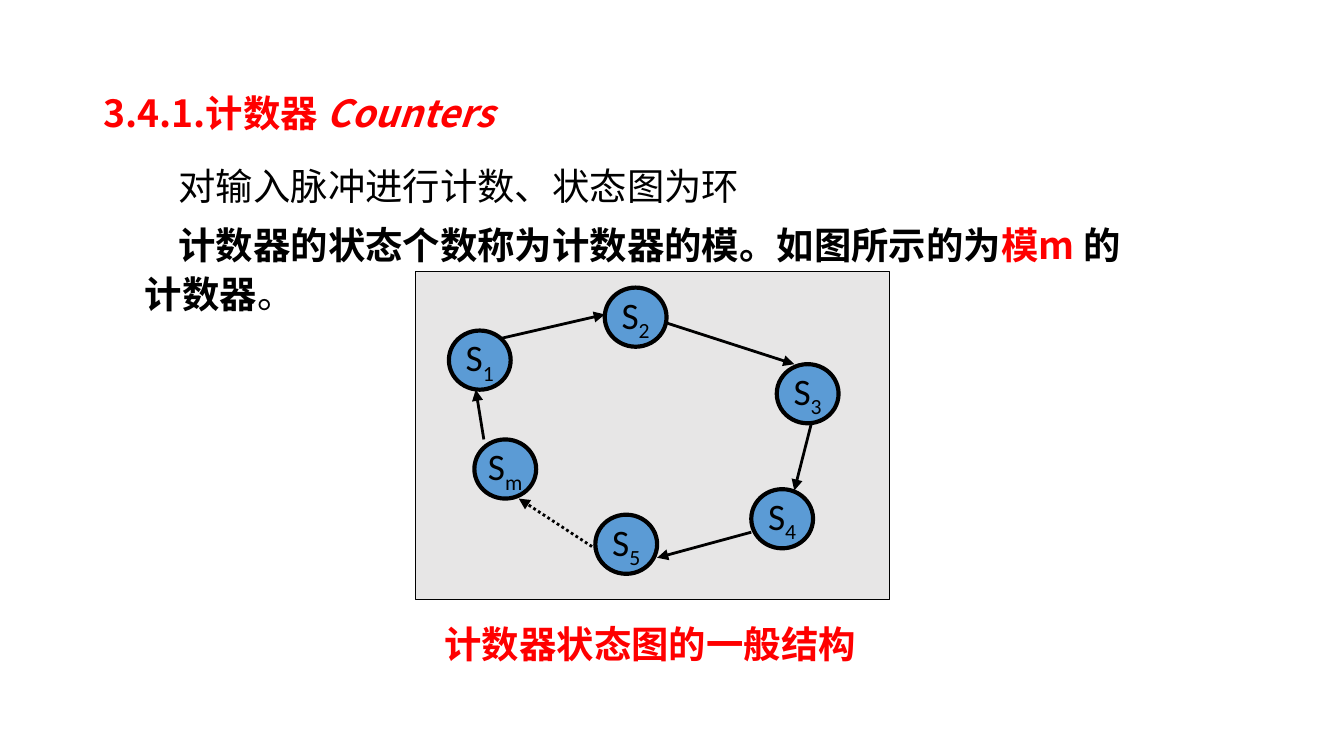
import pptx
import pptx.util
import pptx.dml.color
import pptx.enum.dml
import pptx.enum.shapes
import pptx.enum.text
import pptx.oxml.ns
from lxml import etree

Inches = pptx.util.Inches
Pt = pptx.util.Pt
RGBColor = pptx.dml.color.RGBColor
qn = pptx.oxml.ns.qn

RED = RGBColor(0xFF, 0x00, 0x00)
BLACK = RGBColor(0x00, 0x00, 0x00)
BLUE = RGBColor(0x5B, 0x9B, 0xD5)
GRAY = RGBColor(0xE7, 0xE6, 0xE6)
WHITE = RGBColor(0xFF, 0xFF, 0xFF)
CJK_FONT = "Noto Sans CJK JP"
STATE_FONT = "Calibri"
TEXT_SIZE = 20
STATE_SIZE = (0.46, 0.44)

TITLE = [("3.4.1.计数器 ", RED, True, False), ("Counters", RED, True, True)]
PURPOSE = [("对输入脉冲进行计数、状态图为环", BLACK, False, False)]
MODULUS = [
    ("计数器的状态个数称为计数器的模。如图所示的为", BLACK, True, False),
    ("模m ", RED, True, False),
    ("的计数器", BLACK, True, False),
    ("。", BLACK, False, False),
]
CAPTION = [("计数器状态图的一般结构", RED, True, False)]

PANEL = (3.09, 2.02, 3.53, 2.44)
STATES = [
    ("4", 5.59, 3.64),
    ("5", 4.43, 3.83),
    ("m", 3.53, 3.27),
    ("3", 5.78, 2.71),
    ("2", 4.5, 2.14),
    ("1", 3.34, 2.46),
]
TRANSITIONS = [
    ((3.6, 3.27), (3.54, 2.9), False),
    ((3.72, 2.52), (4.5, 2.34), False),
    ((4.95, 2.4), (5.91, 2.71), False),
    ((6.04, 3.14), (5.91, 3.65), False),
    ((5.59, 3.96), (4.89, 4.15), False),
    ((4.44, 4.09), (3.86, 3.71), True),
]


def add_text(page, place, spans, line_spacing=1.0, indent=0, wrap=True):
    box = page.shapes.add_textbox(*map(Inches, place))
    box.text_frame.word_wrap = wrap
    para = box.text_frame.paragraphs[0]
    para.line_spacing = line_spacing
    if indent:
        para._p.get_or_add_pPr().set("indent", str(Inches(indent)))
    for text, color, bold, italic in spans:
        span = para.add_run()
        span.text = text
        span.font.size = Pt(TEXT_SIZE)
        span.font.bold = bold
        span.font.italic = italic
        span.font.color.rgb = color
        span.font.name = CJK_FONT
        east_asian = etree.SubElement(span._r.get_or_add_rPr(), qn("a:ea"))
        east_asian.set("typeface", CJK_FONT)


def add_filled(page, kind, place, fill, line_width):
    shape = page.shapes.add_shape(kind, *map(Inches, place))
    shape.shadow.inherit = False
    shape.fill.solid()
    shape.fill.fore_color.rgb = fill
    shape.line.color.rgb = BLACK
    shape.line.width = Pt(line_width)
    return shape


def add_state(page, index, left, top):
    place = (left, top, *STATE_SIZE)
    circle = add_filled(page, pptx.enum.shapes.MSO_SHAPE.OVAL, place, BLUE, 2.25)
    frame = circle.text_frame
    frame.word_wrap = False
    frame.vertical_anchor = pptx.enum.text.MSO_ANCHOR.MIDDLE
    para = frame.paragraphs[0]
    para.alignment = pptx.enum.text.PP_ALIGN.CENTER
    for text in ("S", index):
        span = para.add_run()
        span.text = text
        span.font.size = Pt(TEXT_SIZE)
        span.font.name = STATE_FONT
        span.font.color.rgb = BLACK
    span._r.get_or_add_rPr().set("baseline", "-25000")


def add_transition(page, start, end, dotted):
    arrow = page.shapes.add_connector(
        pptx.enum.shapes.MSO_CONNECTOR.STRAIGHT, *map(Inches, start + end)
    )
    arrow.line.color.rgb = BLACK
    arrow.line.width = Pt(1.5)
    if dotted:
        arrow.line.dash_style = pptx.enum.dml.MSO_LINE.ROUND_DOT
    line = arrow.line._get_or_add_ln()
    etree.SubElement(line, qn("a:tailEnd")).set("type", "triangle")
    etree.SubElement(arrow._element.spPr, qn("a:effectLst"))


def main():
    deck = pptx.Presentation()
    deck.slide_width = Inches(10)
    deck.slide_height = deck.slide_width * 9 // 16
    page = deck.slides.add_slide(deck.slide_layouts[6])
    page.background.fill.solid()
    page.background.fill.fore_color.rgb = WHITE

    add_text(page, (0.67, 0.66, 5.5, 0.44), TITLE, 0.9)
    add_text(page, (0.98, 1.57, 7.73, 0.83), MODULUS, 1.1, 0.25)
    add_filled(page, pptx.enum.shapes.MSO_SHAPE.RECTANGLE, PANEL, GRAY, 0.75)
    for state in STATES:
        add_state(page, *state)
    for transition in TRANSITIONS:
        add_transition(page, *transition)
    add_text(page, (3.21, 4.57, 3.27, 0.44), CAPTION, wrap=False)
    add_text(page, (0.98, 1.13, 7.73, 0.46), PURPOSE, 1.1, 0.25)
    deck.save("out.pptx")


if __name__ == "__main__":
    main()
